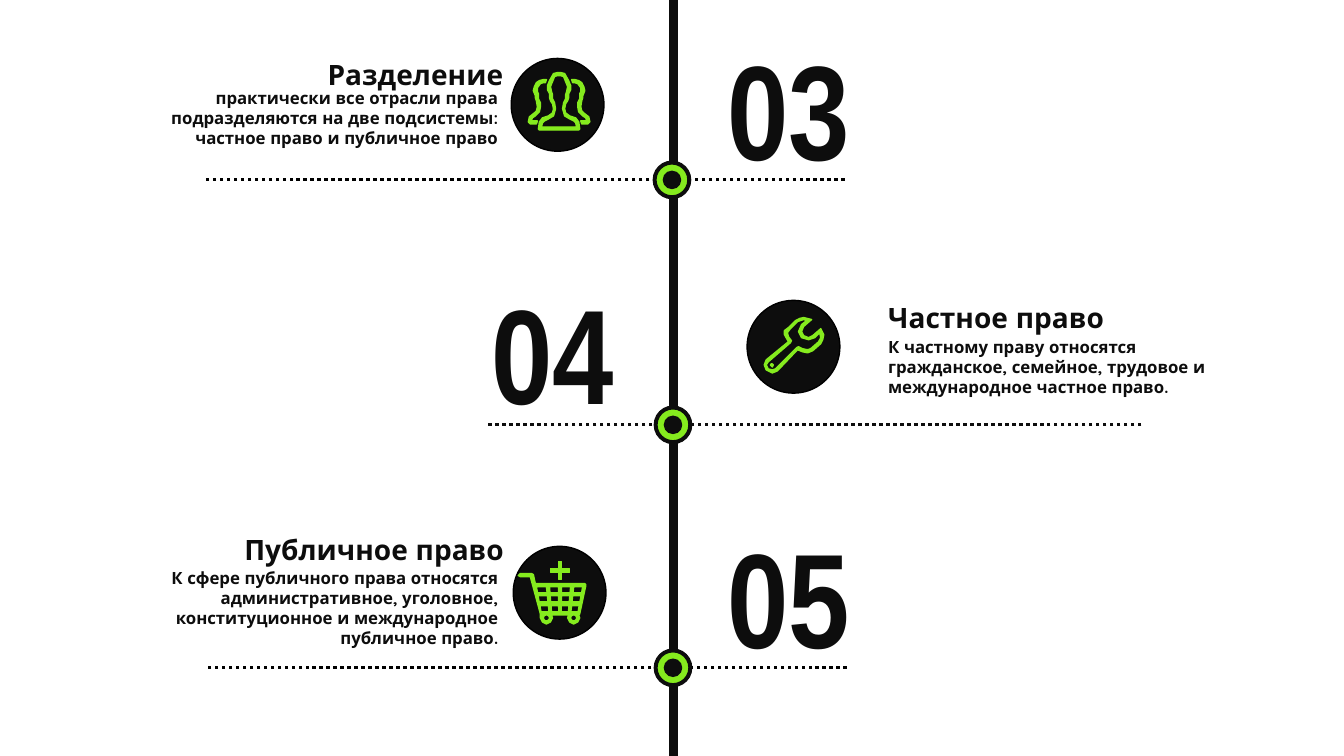
from dataclasses import dataclass
from math import cos, pi, sin

from pptx import Presentation
from pptx import util as u
from pptx.dml.color import RGBColor
from pptx.enum import dml, shapes, text
from pptx.oxml.ns import qn

PX = 9144  # 100 px to the inch
WIDE, HIGH = 1333, 750
LEFT, MID, RIGHT = text.PP_ALIGN.LEFT, text.PP_ALIGN.CENTER, text.PP_ALIGN.RIGHT
OVAL, RING = shapes.MSO_SHAPE.OVAL, shapes.MSO_SHAPE.DONUT


@dataclass
class Theme:
    ink: RGBColor = RGBColor(0x0D, 0x0D, 0x0D)
    black: RGBColor = RGBColor(0, 0, 0)
    lime: RGBColor = RGBColor(0x85, 0xEB, 0x1E)
    plain: str = "Quicksand"
    narrow: str = "Arial Narrow"
    num: int = 96
    head: int = 20
    body: int = 12


class Page:
    def __init__(self, slide, theme):
        self.slide, self.theme = slide, theme

    def paint(self, item, fill, line):
        item.shadow.inherit = False
        item.fill.solid()
        item.fill.fore_color.rgb = fill
        item.line.color.rgb = line
        item.line.width = u.Pt(1)

    def line(self, x1, y1, x2, y2, color, width, dash=None):
        ends = [v * PX for v in (x1, y1, x2, y2)]
        item = self.slide.shapes.add_connector(shapes.MSO_CONNECTOR.STRAIGHT, *ends)
        item.line.color.rgb = color
        item.line.width = u.Pt(width)
        if dash:
            item.line.dash_style = dash
        props = item._element.spPr
        props.append(props.makeelement(qn("a:effectLst"), {}))

    def shape(self, kind, x, y, size, fill, line):
        item = self.slide.shapes.add_shape(kind, *[v * PX for v in (x, y, size, size)])
        self.paint(item, fill, line)
        return item

    def text(self, x, y, w, h, words, size, align=LEFT, face=None):
        box = self.slide.shapes.add_textbox(*[v * PX for v in (x, y, w, h)])
        frame = box.text_frame
        frame.word_wrap = True
        frame.auto_size = text.MSO_AUTO_SIZE.SHAPE_TO_FIT_TEXT
        para = frame.paragraphs[0]
        para.text, para.alignment = words, align
        font = para.font
        font.name, font.size, font.bold = face or self.theme.plain, u.Pt(size), True
        font.color.rgb = self.theme.ink

    def number(self, x, y, words):
        self.text(x, y, 178, 172, words, self.theme.num, MID, self.theme.narrow)

    def node(self, x, y):
        t = self.theme
        self.shape(OVAL, x - 15, y - 15, 31, t.lime, t.lime)
        ring = self.shape(RING, x - 18, y - 18, 37, t.ink, t.ink)
        ring.adjustments[0] = 0.07
        self.shape(OVAL, x - 8, y - 8, 17, t.ink, t.ink)

    def badge(self, x, y):
        self.shape(OVAL, x, y, 92, self.theme.ink, self.theme.black)

    def icon(self, x, y, loops):
        """Draw closed outlines as one shape; inner outlines become holes."""
        loops = [[((x + a) * PX, (y + b) * PX) for a, b in loop] for loop in loops]
        pen = self.slide.shapes.build_freeform(*loops[0][0], scale=1.0)
        for loop in loops:
            pen.move_to(*loop[0])
            pen.add_line_segments(loop[1:], close=True)
        self.paint(pen.convert_to_shape(), self.theme.lime, self.theme.lime)


def flip(points):
    return [(61 - x, y) for x, y in reversed(points)]


def people():
    outer = [(50, 57), (51, 56), (50, 49), (47, 45), (41, 43), (37, 40), (36, 36),
             (37, 31), (39, 28), (40, 25), (40, 21), (42, 17), (42, 13), (40, 8),
             (36, 1), (32, 0)]
    inner = [(48, 54), (47, 50), (45, 48), (41, 46), (36, 43), (34, 36), (35, 30),
             (37, 26), (37, 22), (38, 19), (39, 14), (37, 9), (35, 4), (32, 3)]
    side = [(55, 40), (53, 38), (52, 34), (53, 28), (54, 25), (54, 23), (56, 18),
            (55, 14), (53, 10), (50, 8), (46, 7), (43, 7), (44, 10), (46, 10),
            (49, 11), (52, 15), (52, 19), (51, 21), (51, 26), (49, 30), (49, 34),
            (50, 39), (54, 43), (57, 45), (58, 48), (52, 48), (53, 51), (59, 51),
            (61, 49), (60, 44)]
    return [outer + flip(outer), inner + flip(inner), side, flip(side)]


def wrench():
    outer = [(56, 11), (59, 17), (58, 22), (56, 26), (48, 33), (43, 35), (38, 34),
             (33, 32), (13, 53), (8, 55), (2, 52), (0, 47), (2, 42), (24, 24),
             (20, 17), (20, 13), (24, 10), (31, 3), (35, 1), (39, 0), (43, 1),
             (47, 2), (39, 9), (37, 14), (39, 18), (44, 20), (48, 18), (55, 12)]
    inner = [(55, 15), (50, 20), (44, 22), (37, 20), (34, 14), (37, 7), (42, 3),
             (39, 2), (33, 4), (26, 11), (23, 15), (24, 19), (27, 23), (26, 25),
             (4, 44), (2, 47), (4, 51), (8, 52), (11, 51), (32, 30), (34, 29),
             (38, 31), (43, 32), (46, 31), (54, 24), (56, 20)]
    hole = [(7, 46), (6, 47), (8, 49), (9, 47), (8, 46)]
    return [outer, inner, hole]


def cart():
    body = [(61, 52), (67, 24), (67, 23), (66, 22), (17, 22), (15, 13), (13, 12),
            (2, 12), (0, 14), (2, 15), (12, 15), (22, 52), (22, 56), (24, 60),
            (28, 62), (32, 60), (34, 56), (33, 53), (50, 53), (49, 56), (51, 60),
            (55, 62), (59, 60), (61, 56), (60, 53)]
    plus = [(40, 0), (43, 0), (43, 7), (51, 7), (51, 11), (43, 11), (43, 18),
            (40, 18), (40, 11), (32, 11), (32, 7), (40, 7)]
    wheels = [[(x + 3 * cos(i * pi / 6), 56 + 3 * sin(i * pi / 6)) for i in range(12)]
              for x in (28, 55)]

    def taper(x, y):  # basket narrows by a fifth towards its floor
        return 41 + (x - 41) * (1 - (y - 25) / 125), y

    cells = [[taper(a, top), taper(b, top), taper(b, low), taper(a, low)]
             for top, low in ((25, 31), (34, 40), (44, 50))
             for a, b in ((18, 28), (31, 40), (43, 52), (55, 64))]
    return [body, plus, *wheels, *cells]


def main():
    deck = Presentation()
    deck.slide_width, deck.slide_height = WIDE * PX, HIGH * PX
    t = Theme()
    page = Page(deck.slides.add_slide(deck.slide_layouts[6]), t)
    dots = dml.MSO_LINE.ROUND_DOT

    # Timeline: spine, dotted rules, nodes and numbers
    page.line(668, 0, 668, HIGH, t.ink, 6)
    for x, y, start, end, color, left, top, num in (
        (666, 178, 838, 201, t.black, 693, 21, "03"),
        (667, 421, 1132, 483, t.ink, 459, 263, "04"),
        (667, 662, 840, 203, t.black, 693, 505, "05"),
    ):
        page.line(start, y, end, y, color, 2.5, dots)
        page.node(x, y)
        page.number(left, top, num)

    # Icons on round badges
    for x, y, left, top, loops in (
        (507, 58, 524, 72, people()),
        (741, 298, 758, 315, wrench()),
        (509, 542, 514, 557, cart()),
    ):
        page.badge(x, y)
        page.icon(left, top, loops)

    # Headings with their descriptions
    for x, y, align, head, left, top, high, side, body in (
        (221, 52, MID, "Разделение", 119, 82, 71, RIGHT,
         "практически все отрасли права подразделяются на две подсистемы: "
         "частное право и публичное право"),
        (871, 293, LEFT, "Частное право", 871, 329, 71, LEFT,
         "К частному праву относятся гражданское, семейное, трудовое и "
         "международное частное право."),
        (180, 523, MID, "Публичное право", 119, 558, 91, RIGHT,
         "К сфере публичного права относятся административное, уголовное, "
         "конституционное и международное публичное право."),
    ):
        page.text(x, y, 382, 44, head, t.head, align)
        page.text(left, top, 385, high, body, t.body, side)

    deck.save("out.pptx")


if __name__ == "__main__":
    main()
